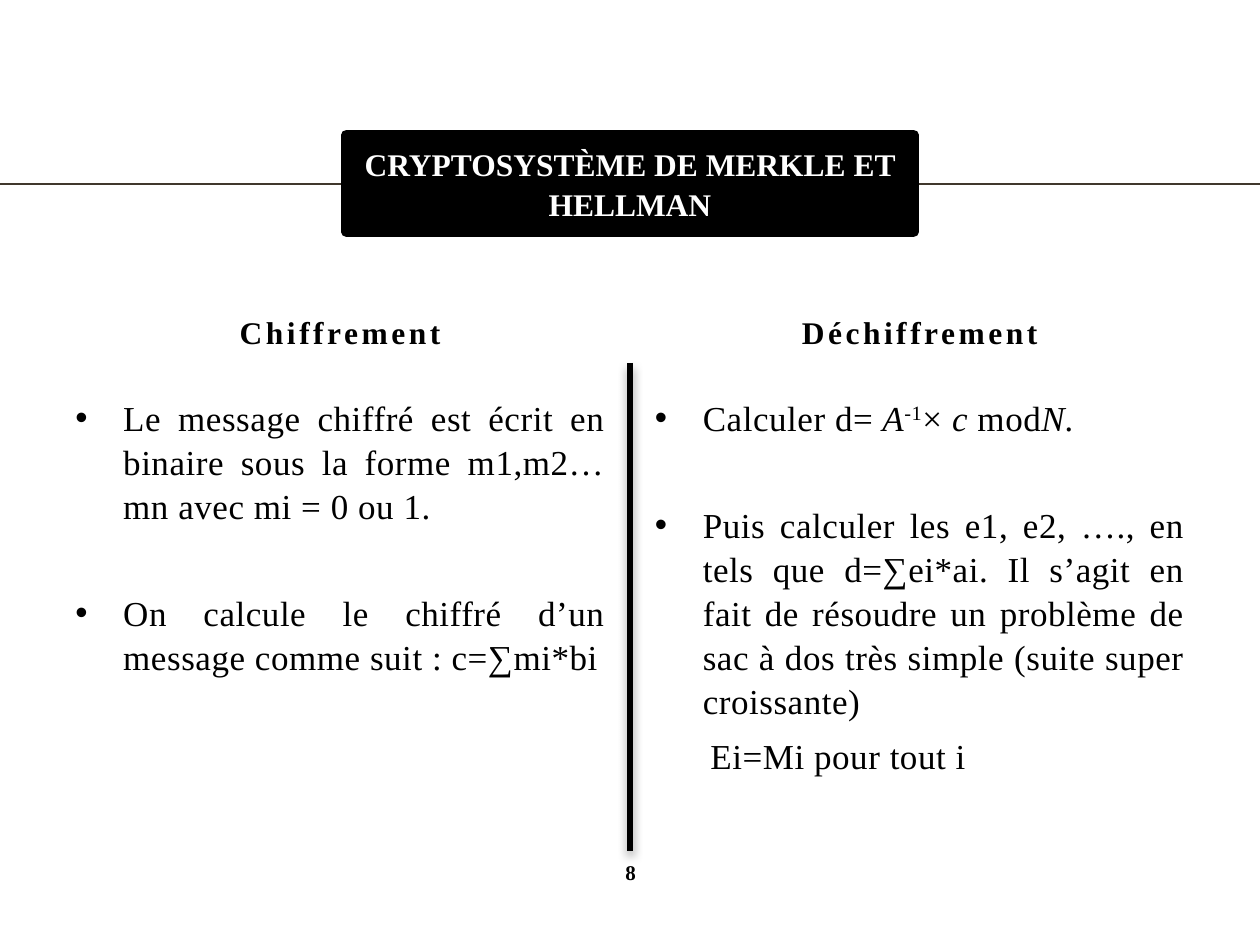
from typing import NamedTuple

from lxml import etree
from pptx import Presentation
from pptx.dml.color import RGBColor
from pptx.enum import shapes, text
from pptx.oxml import ns
from pptx.util import Emu, Pt

PX = 9144  # 100 px to the inch
FACE = "Times New Roman"
BLACK, WHITE, OLIVE = "000000", "FFFFFF", "40382D"
MID, JUST = text.PP_ALIGN.CENTER, text.PP_ALIGN.JUSTIFY


class Box(NamedTuple):
    x: int
    y: int
    w: int
    h: int


class Run(NamedTuple):
    text: str
    ital: bool = False
    sup: bool = False


class Para(NamedTuple):
    runs: list[Run]
    size: int = 20
    bold: bool = False
    ink: str = BLACK
    align: text.PP_ALIGN = JUST
    gap: int = 0
    left: int = 0
    mark: bool = False
    space: int = 0  # letter spacing, hundredths of a point


class Column(NamedTuple):
    x: int
    head: str
    paras: list[Para]


def px(n: int) -> Emu:
    return Emu(n * PX)


def color(code: str) -> RGBColor:
    return RGBColor.from_string(code)


def item(*runs: Run, gap: int = 0) -> Para:
    return Para(list(runs), gap=gap, left=38, mark=True, space=30)


def write(shape, paras: list[Para], anchor=text.MSO_ANCHOR.TOP) -> None:
    frame = shape.text_frame
    frame.word_wrap = True
    frame.vertical_anchor = anchor
    for i, para in enumerate(paras):
        p = frame.add_paragraph() if i else frame.paragraphs[0]
        p.alignment = para.align
        p.line_spacing = 1.05
        p.space_before = Pt(para.gap)
        prop = p._p.get_or_add_pPr()
        prop.set("marL", str(px(para.left)))
        if para.mark:
            prop.set("indent", str(-px(para.left)))
            etree.SubElement(prop, ns.qn("a:buFont")).set("typeface", "Arial")
            etree.SubElement(prop, ns.qn("a:buChar")).set("char", "•")
        font = p.font
        font.name, font.size, font.bold = FACE, Pt(para.size), para.bold
        font.color.rgb = color(para.ink)
        prop.find(ns.qn("a:defRPr")).set("spc", str(para.space))
        for part in para.runs:
            run = p.add_run()
            run.text = part.text
            if part.ital:
                run.font.italic = True
            if part.sup:
                run.font._element.set("baseline", "30000")


def label(slide, box: Box, paras: list[Para], anchor=text.MSO_ANCHOR.TOP):
    shape = slide.shapes.add_textbox(*map(px, box))
    write(shape, paras, anchor)
    return shape


def rule(slide, start: tuple[int, int], end: tuple[int, int], ink: str, width: float):
    line = slide.shapes.add_connector(
        shapes.MSO_CONNECTOR.STRAIGHT, *map(px, start + end))
    line.line.color.rgb = color(ink)
    line.line.width = Pt(width)
    return etree.SubElement(line._element.spPr, ns.qn("a:effectLst"))


def shade(fx) -> None:
    drop = etree.SubElement(fx, ns.qn("a:outerShdw"), blurRad=str(Pt(5.2)),
                            dist=str(Pt(3)), dir="5400000", rotWithShape="0")
    ink = etree.SubElement(drop, ns.qn("a:srgbClr"), val=BLACK)
    etree.SubElement(ink, ns.qn("a:alpha"), val="40000")


COLUMNS = [
    Column(50, "Chiffrement", [
        item(Run("Le message chiffré est écrit en binaire sous la forme "
                 "m1,m2…mn avec mi = 0 ou 1.")),
        item(Run("On calcule le chiffré d’un message comme suit : c=∑mi*bi"), gap=36),
    ]),
    Column(510, "Déchiffrement", [
        item(Run("Calculer d="), Run(" A", ital=True), Run("-1", sup=True),
             Run("× "), Run("c ", ital=True), Run("mod"), Run("N.", ital=True)),
        item(Run("Puis calculer les e1, e2, …., en tels que d=∑ei*ai. Il s’agit en "
                 "fait de résoudre un problème de sac à dos très simple "
                 "(suite super croissante)"), gap=36),
        Para([Run("Ei=Mi pour tout i")], gap=6, left=44, space=30),
    ]),
]


def main() -> None:
    deck = Presentation()
    deck.slide_width, deck.slide_height = px(1000), px(750)
    slide = deck.slides.add_slide(deck.slide_layouts[6])
    middle = text.MSO_ANCHOR.MIDDLE

    # Line behind the title
    rule(slide, (0, 146), (1000, 146), OLIVE, 1)

    # Two columns with headings
    for col in COLUMNS:
        label(slide, Box(col.x, 308, 440, 351), col.paras)
        head = Para([Run(col.head)], 18, True, align=MID, space=200)
        top = label(slide, Box(col.x, 221, 440, 77), [head], middle)
        top.text_frame.margin_top = px(12)

    # Page number
    page = label(slide, Box(442, 675, 117, 33),
                 [Para([Run("8")], 12, True, align=MID)], middle)
    frame = page.text_frame
    frame.margin_left = frame.margin_right = frame.margin_top = frame.margin_bottom = 0

    # Title plate
    plate = slide.shapes.add_shape(
        shapes.MSO_SHAPE.RECTANGLE, *map(px, Box(275, 107, 450, 77)))
    plate.shadow.inherit = False
    plate.fill.solid()
    plate.fill.fore_color.rgb = plate.line.color.rgb = color(BLACK)
    plate.line.width = Pt(6)
    title = Run("CRYPTOSYSTÈME DE MERKLE ET HELLMAN")
    write(plate, [Para([title], 18, True, WHITE, MID)], middle)

    # Divider between the columns
    shade(rule(slide, (500, 288), (500, 675), BLACK, 3.35))

    deck.save("out.pptx")


if __name__ == "__main__":
    main()
